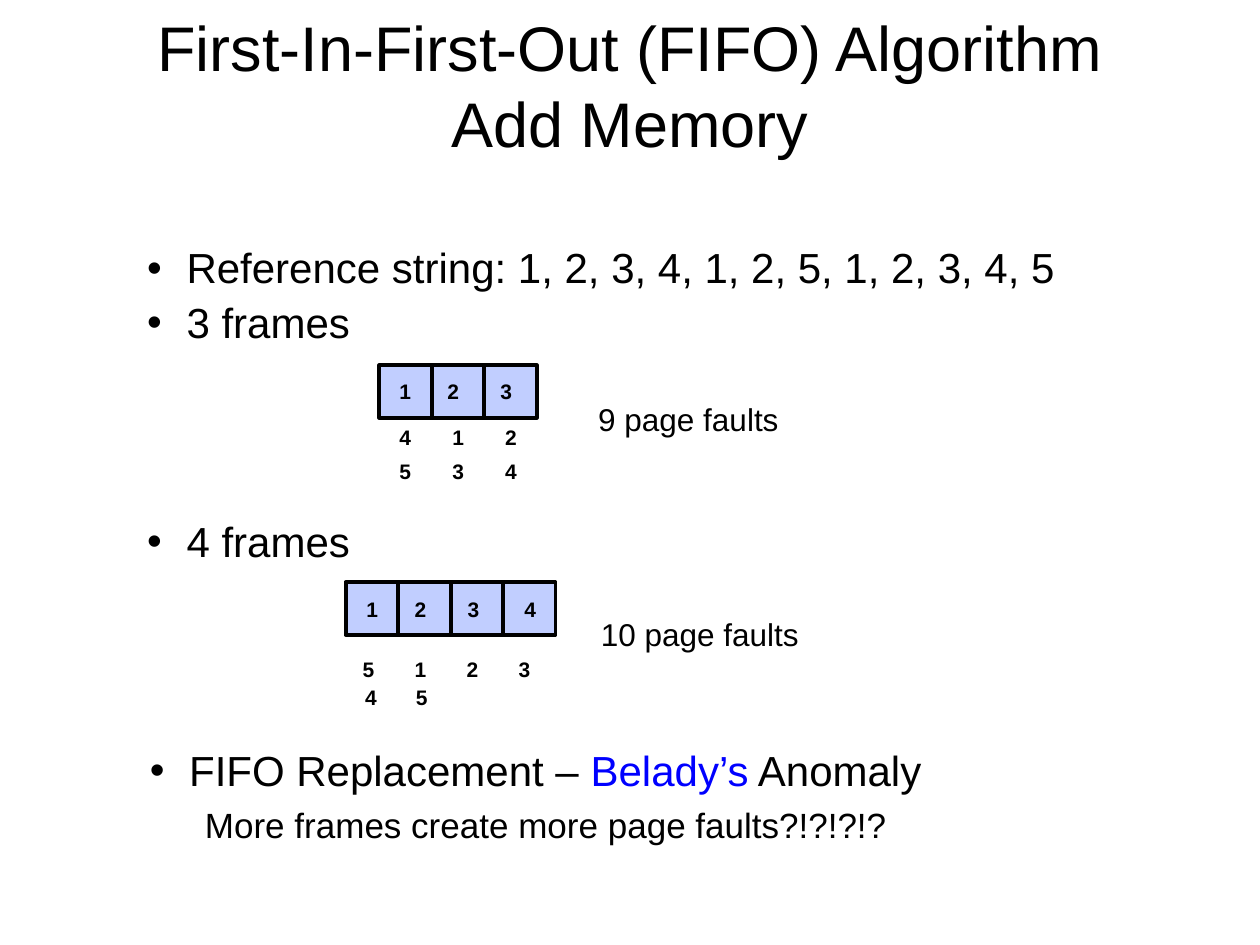
from pptx import Presentation
from pptx.dml.color import RGBColor
from pptx.enum.shapes import MSO_SHAPE
from pptx.enum.text import MSO_ANCHOR, PP_ALIGN
from pptx.oxml import parse_xml
from pptx.oxml.ns import nsdecls
from pptx.util import Pt

FONT = "Arial"
BLACK = "000000"
BLUE = "0000FF"
FRAME_FILL = "C1CEFF"
FRAME_SIZE = 30
DIGIT_WIDTH, DIGIT_HEIGHT = 21, 21.6


def color(hex_string):
    return RGBColor.from_string(hex_string)


def add_text_box(slide, left, top, width, height, anchor=MSO_ANCHOR.TOP, wrap=True):
    """Add an empty text box and return its text frame."""
    shape = slide.shapes.add_textbox(Pt(left), Pt(top), Pt(width), Pt(height))
    frame = shape.text_frame
    frame.word_wrap = wrap
    frame.vertical_anchor = anchor
    return frame


def add_run(paragraph, text, size, bold=False, text_color=BLACK):
    run = paragraph.add_run()
    run.text = text
    run.font.name = FONT
    run.font.size = Pt(size)
    run.font.bold = bold
    run.font.color.rgb = color(text_color)


def write_paragraph(frame, text, size=24, bold=False, text_color=BLACK,
                    align=PP_ALIGN.LEFT, level=0, margin=0, indent=0,
                    bullet=None, space_before=0, line_spacing=1.0):
    """Fill the frame's empty first paragraph, or append a new one."""
    first = frame.paragraphs[0]
    paragraph = frame.add_paragraph() if first.runs else first
    paragraph.alignment = align
    paragraph.level = level
    paragraph.space_before = Pt(space_before)
    paragraph.line_spacing = line_spacing
    properties = paragraph._p.get_or_add_pPr()
    properties.set("marL", str(Pt(margin)))
    properties.set("indent", str(Pt(indent)))
    if bullet:
        properties.append(parse_xml(f'<a:buFont {nsdecls("a")} typeface="{FONT}"/>'))
        properties.append(parse_xml(f'<a:buChar {nsdecls("a")} char="{bullet}"/>'))
    add_run(paragraph, text, size, bold, text_color)
    return paragraph


def write_bullet(frame, text, line_spacing=0.89):
    return write_paragraph(frame, text, margin=22.5, indent=-22.5, bullet="•",
                           space_before=5.5, line_spacing=line_spacing)


def add_memory_frames(slide, left, top, count):
    for index in range(count):
        shape = slide.shapes.add_shape(
            MSO_SHAPE.RECTANGLE, Pt(left + index * FRAME_SIZE), Pt(top),
            Pt(FRAME_SIZE), Pt(FRAME_SIZE))
        shape.shadow.inherit = False
        shape.fill.solid()
        shape.fill.fore_color.rgb = color(FRAME_FILL)
        shape.line.color.rgb = color(BLACK)
        shape.line.width = Pt(2.25)


def add_page_numbers(slide, top, pages, lefts):
    for page, left in zip(pages, lefts):
        frame = add_text_box(slide, left, top, DIGIT_WIDTH, DIGIT_HEIGHT,
                             MSO_ANCHOR.BOTTOM, wrap=False)
        write_paragraph(frame, page, size=12, bold=True, align=PP_ALIGN.CENTER)


def add_fault_count(slide, left, top, width, text):
    frame = add_text_box(slide, left, top, width, 29, wrap=False)
    write_paragraph(frame, text, size=18)


def main():
    presentation = Presentation()
    presentation.slide_width = Pt(720)
    presentation.slide_height = Pt(540)
    slide = presentation.slides.add_slide(presentation.slide_layouts[6])

    title = add_text_box(slide, 36, 12.25, 648, 72, MSO_ANCHOR.MIDDLE)
    for line in ("First-In-First-Out (FIFO) Algorithm", "Add Memory"):
        write_paragraph(title, line, size=36, align=PP_ALIGN.CENTER)

    reference = add_text_box(slide, 77, 138.25, 641.5, 52.5)
    write_bullet(reference, "Reference string: 1, 2, 3, 4, 1, 2, 5, 1, 2, 3, 4, 5")
    write_bullet(reference, "3 frames")
    add_memory_frames(slide, 216.75, 208.75, 3)
    add_page_numbers(slide, 212.5, "123", (221, 248.5, 278.75))
    add_page_numbers(slide, 238.75, "412", (221, 251.25, 281.5))
    add_page_numbers(slide, 258.5, "534", (221, 251.25, 281.5))
    add_fault_count(slide, 334.75, 224.75, 117.5, "9 page faults")

    four_frames = add_text_box(slide, 77, 294.5, 641.5, 52.5)
    write_bullet(four_frames, "4 frames")
    add_memory_frames(slide, 197.5, 332.75, 4)
    add_page_numbers(slide, 337, "1234", (202.25, 229.75, 260, 292.5))
    add_page_numbers(slide, 371.5, "5123", (200, 229.75, 259.5, 289.25))
    add_page_numbers(slide, 387.5, "45", (201.5, 230.5))
    add_fault_count(slide, 336.25, 347.75, 127.5, "10 page faults")

    anomaly = add_text_box(slide, 78.5, 422, 641.5, 52.5)
    heading = write_bullet(anomaly, "FIFO Replacement – ", line_spacing=1.0)
    add_run(heading, "Belady’s", 24, text_color=BLUE)
    add_run(heading, " Anomaly", 24)
    write_paragraph(anomaly, "More frames create more page faults?!?!?!?", size=20,
                    level=1, margin=49.5, indent=-18, space_before=4.6)

    presentation.save("out.pptx")


if __name__ == "__main__":
    main()
